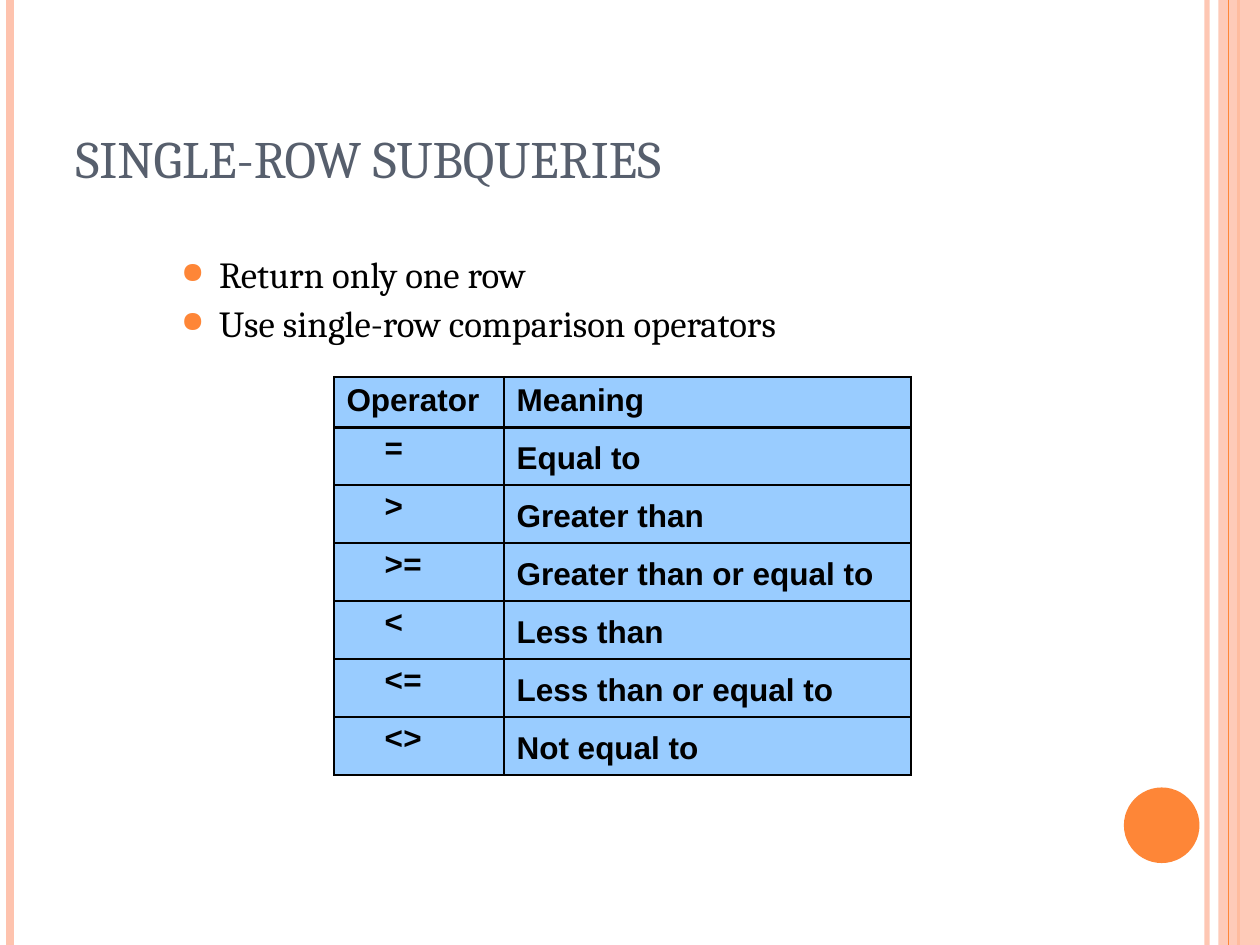
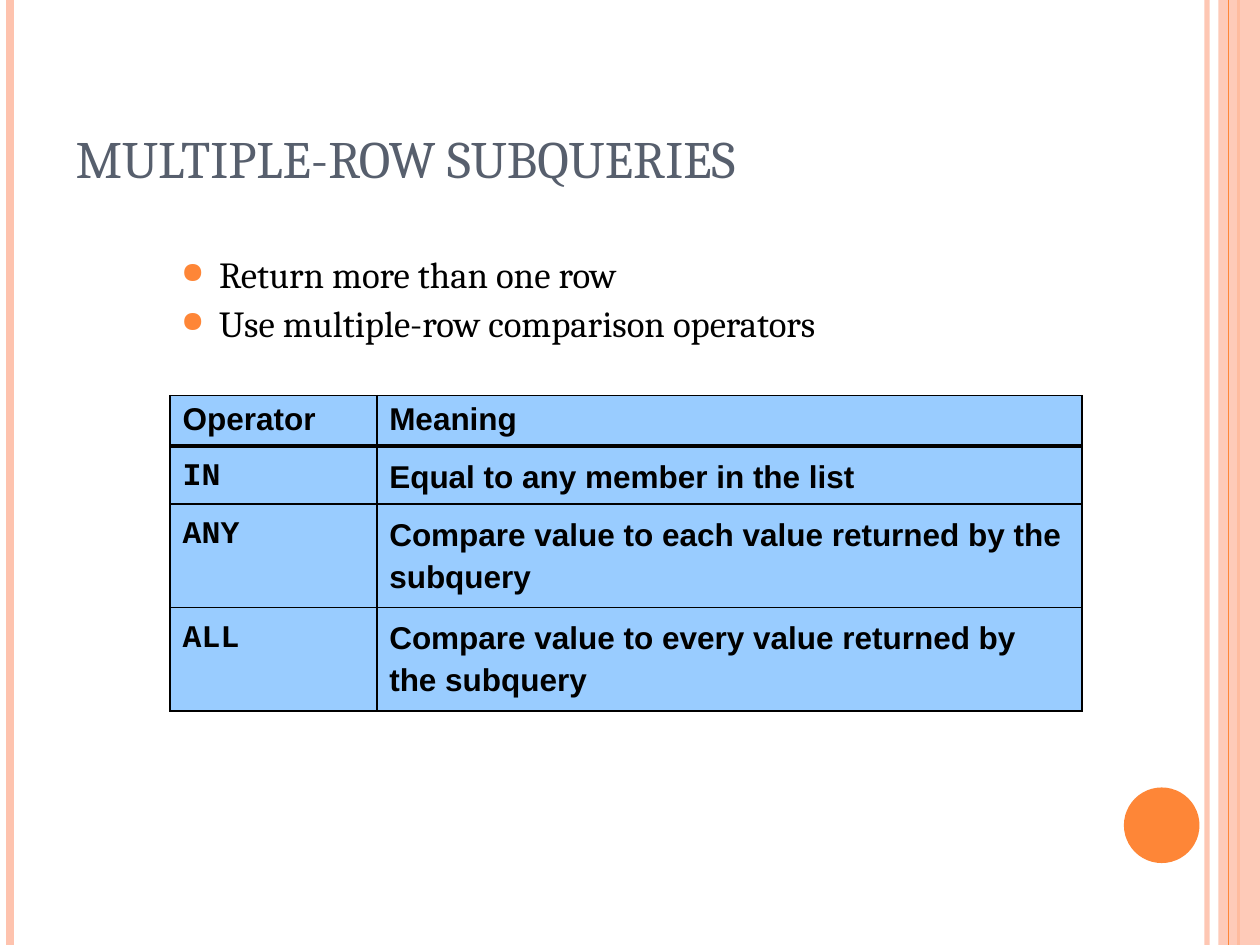
from lxml import etree
from pptx import Presentation
from pptx.dml.color import RGBColor
from pptx.enum.shapes import MSO_CONNECTOR, MSO_SHAPE
from pptx.enum.text import MSO_ANCHOR, MSO_AUTO_SIZE, PP_ALIGN
from pptx.oxml.ns import qn
from pptx.util import Inches, Pt

STRAIGHT = MSO_CONNECTOR.STRAIGHT
RECTANGLE, OVAL = MSO_SHAPE.RECTANGLE, MSO_SHAPE.OVAL
LEFT, BOTTOM, NO_FIT = PP_ALIGN.LEFT, MSO_ANCHOR.BOTTOM, MSO_AUTO_SIZE.NONE

COLORS = {"title": "575F6D", "ink": "000000", "cell": "99CCFF",
          "orange": "FE8637", "peach": "FEC3AE"}
SERIF, SANS, MONO = "Cambria", "Arial", "Courier New"
TITLE_ONLY = 5
THIN, THICK = 1.08, 2.21

# Content; paragraph styles are (line spacing, space before, left indent)
HEADER = ("Operator", "Meaning")
HEADER_STYLE = (1.0, 4.5, 0)
MEANING_STYLE = (1.2, 13.5, 0)
SLIDES = [
    {
        "title": "SINGLE-ROW SUBQUERIES",
        "bullets": ["Return only one row", "Use single-row comparison operators"],
        "rows": [("=", "Equal to"), (">", "Greater than"),
                 (">=", "Greater than or equal to"), ("<", "Less than"),
                 ("<=", "Less than or equal to"), ("<>", "Not equal to")],
        "corner": (2.65, 2.99),
        "widths": (1.35, 3.23),
        "heights": [0.4] + [0.46] * 6,
        "operator_style": (0.95, 7.9, 0.3),
    },
    {
        "title": "MULTIPLE-ROW SUBQUERIES",
        "bullets": ["Return more than one row", "Use multiple-row comparison operators"],
        "rows": [("IN", "Equal to any member in the list"),
                 ("ANY", "Compare value to each value returned by the subquery"),
                 ("ALL", "Compare value to every value returned by the subquery")],
        "corner": (1.35, 3.14),
        "widths": (1.64, 5.6),
        "heights": [0.4, 0.46, 0.82, 0.82],
        "operator_style": MEANING_STYLE,
    },
]


def rgb(name):
    return RGBColor.from_string(COLORS[name])


def child(parent, tag, **attributes):
    return etree.SubElement(parent, qn(tag), attributes)


def format_runs(para, font, size, color, bold=False):
    for span in para.runs:
        span.font.name = font
        span.font.size = Pt(size)
        span.font.color.rgb = rgb(color)
        span.font.bold = bold


# Bands and circle, shared by both slides
def set_opacity(shape, percent):
    for color in shape.element.spPr.iter(qn("a:srgbClr")):
        child(color, "a:alpha", val=str(percent * 1000))


def add_stripe(page, x, width, color):
    stripe = page.shapes.add_connector(STRAIGHT, Inches(x), 0, Inches(x), Inches(7.5))
    stripe.line.color.rgb = rgb(color)
    stripe.line.width = Pt(width)
    child(stripe.element.spPr, "a:effectLst")
    return stripe


def add_solid(page, preset, place, color):
    solid = page.shapes.add_shape(preset, *map(Inches, place))
    solid.shadow.inherit = False
    solid.fill.solid()
    solid.fill.fore_color.rgb = rgb(color)
    solid.line.fill.background()
    return solid


def move_frame_to_layout(page, layout):
    frame = [
        add_stripe(page, 9.58, 3, "peach"),
        add_stripe(page, 0.08, 4.5, "peach"),
        add_stripe(page, 9.83, 1.5, "orange"),
        add_solid(page, RECTANGLE, (9.67, 0, 0.33, 7.5), "peach"),
        add_stripe(page, 9.75, 0.75, "orange"),
        add_solid(page, OVAL, (8.92, 6.25, 0.6, 0.6), "orange"),
    ]
    set_opacity(frame[0], 93)
    set_opacity(frame[3], 87)
    for number, part in enumerate(frame, 20):
        part.element.xpath("./*/p:cNvPr")[0].set("id", str(number))
        layout.shapes.element.append(part.element)


# Title and bullets
def fill_title(page, text):
    title = page.shapes.title
    title.left, title.top = Inches(0.5), Inches(0.3)
    title.width, title.height = Inches(8.17), Inches(1.25)
    title.text_frame.text = text
    title.text_frame.auto_size = NO_FIT
    title.text_frame.vertical_anchor = BOTTOM
    para = title.text_frame.paragraphs[0]
    para.alignment = LEFT
    format_runs(para, SERIF, 30, "title")


def add_bullets(page, lines):
    box = page.shapes.add_textbox(Inches(0.94), Inches(1.99), Inches(8.06), Inches(0.83))
    box.text_frame.word_wrap = True
    box.text_frame.text = "\n".join(lines)
    for para in box.text_frame.paragraphs:
        para.level = 1
        para.line_spacing = 0.9
        para.space_before = Pt(5.2)
        format_runs(para, SERIF, 21, "ink")
        properties = para._p.get_or_add_pPr()
        properties.set("marL", str(Inches(0.7)))
        properties.set("indent", str(Inches(-0.3)))
        child(child(properties, "a:buClr"), "a:srgbClr", val=COLORS["orange"])
        child(properties, "a:buSzPct", val="80000")
        child(properties, "a:buChar", char="●")


# Operator table
def set_borders(cell, top, bottom):
    properties = cell._tc.get_or_add_tcPr()
    sides = {"L": THIN, "R": THIN, "T": top, "B": bottom}
    for position, (side, width) in enumerate(sides.items()):
        line = child(properties, "a:ln" + side, w=str(Pt(width)))
        child(child(line, "a:solidFill"), "a:srgbClr", val=COLORS["ink"])
        properties.insert(position, line)


def fill_cell(cell, text, font, style):
    spacing, before, indent = style
    cell.fill.solid()
    cell.fill.fore_color.rgb = rgb("cell")
    cell.text_frame.text = text
    para = cell.text_frame.paragraphs[0]
    para.line_spacing = spacing
    para.space_before = Pt(before)
    para._p.get_or_add_pPr().set("marL", str(Inches(indent)))
    format_runs(para, font, 18, "ink", bold=True)


def add_operator_table(page, content):
    widths, heights = content["widths"], content["heights"]
    place = (*content["corner"], sum(widths), sum(heights))
    table = page.shapes.add_table(len(heights), len(widths), *map(Inches, place)).table
    table.first_row = table.horz_banding = False
    for column, width in zip(table.columns, widths):
        column.width = Inches(width)
    for row, height in zip(table.rows, heights):
        row.height = Inches(height)

    for r, texts in enumerate([HEADER] + content["rows"]):
        fonts = (MONO, SANS) if r else (SANS, SANS)
        styles = (content["operator_style"], MEANING_STYLE) if r else (HEADER_STYLE,) * 2
        for c, text in enumerate(texts):
            cell = table.cell(r, c)
            cell.margin_left = cell.margin_right = Inches(0.1)
            cell.margin_top = cell.margin_bottom = Inches(0.05)
            fill_cell(cell, text, fonts[c], styles[c])
            set_borders(cell, top=THICK if r == 1 else THIN,
                        bottom=THICK if r == 0 else THIN)


def main():
    deck = Presentation()
    deck.slide_width, deck.slide_height = Inches(10), Inches(7.5)
    layout = deck.slide_layouts[TITLE_ONLY]
    for content in SLIDES:
        page = deck.slides.add_slide(layout)
        fill_title(page, content["title"])
        add_bullets(page, content["bullets"])
        add_operator_table(page, content)
    move_frame_to_layout(page, layout)
    deck.save("out.pptx")


if __name__ == "__main__":
    main()
